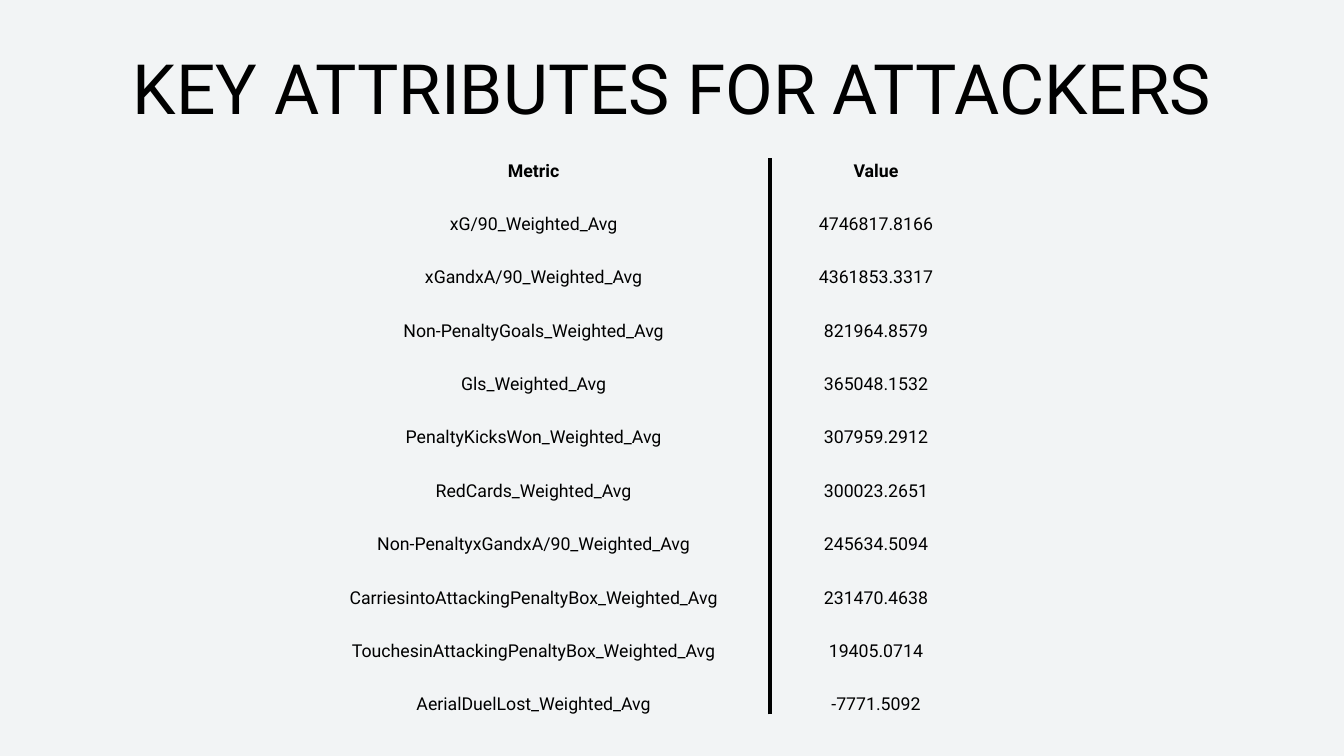
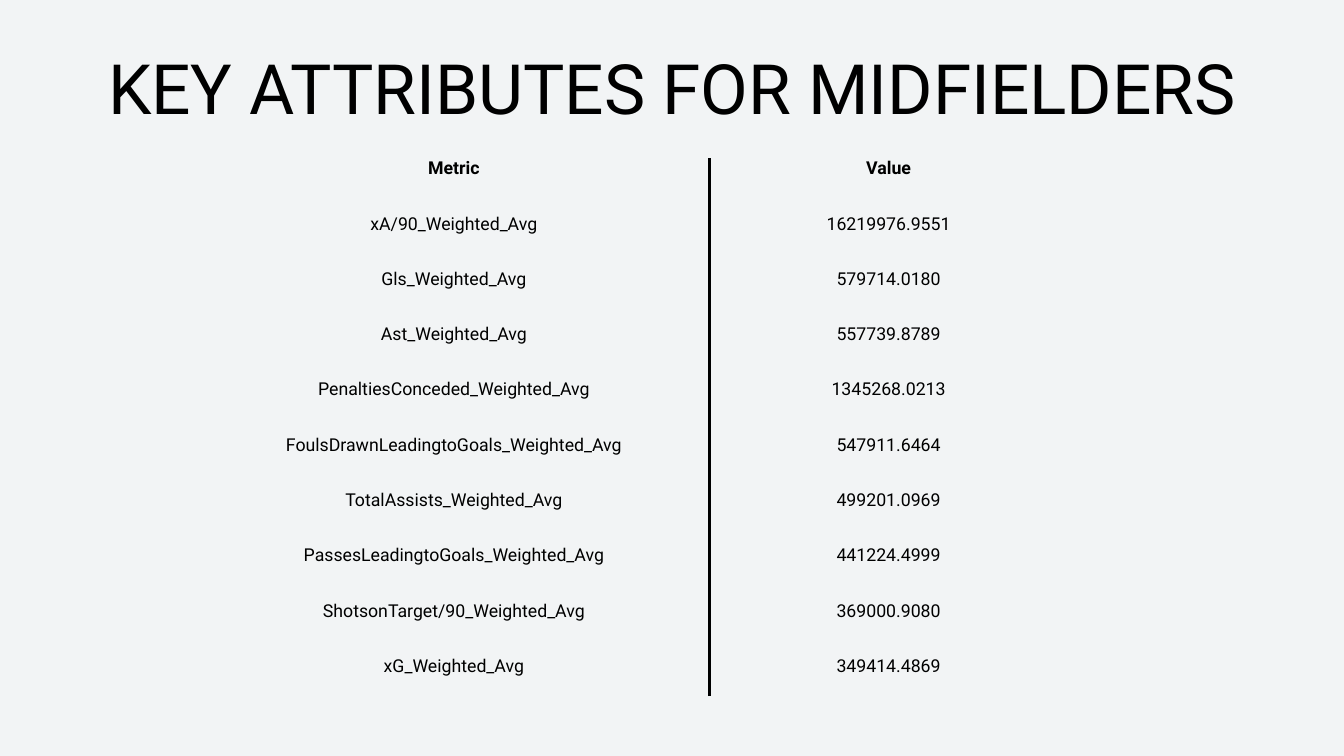
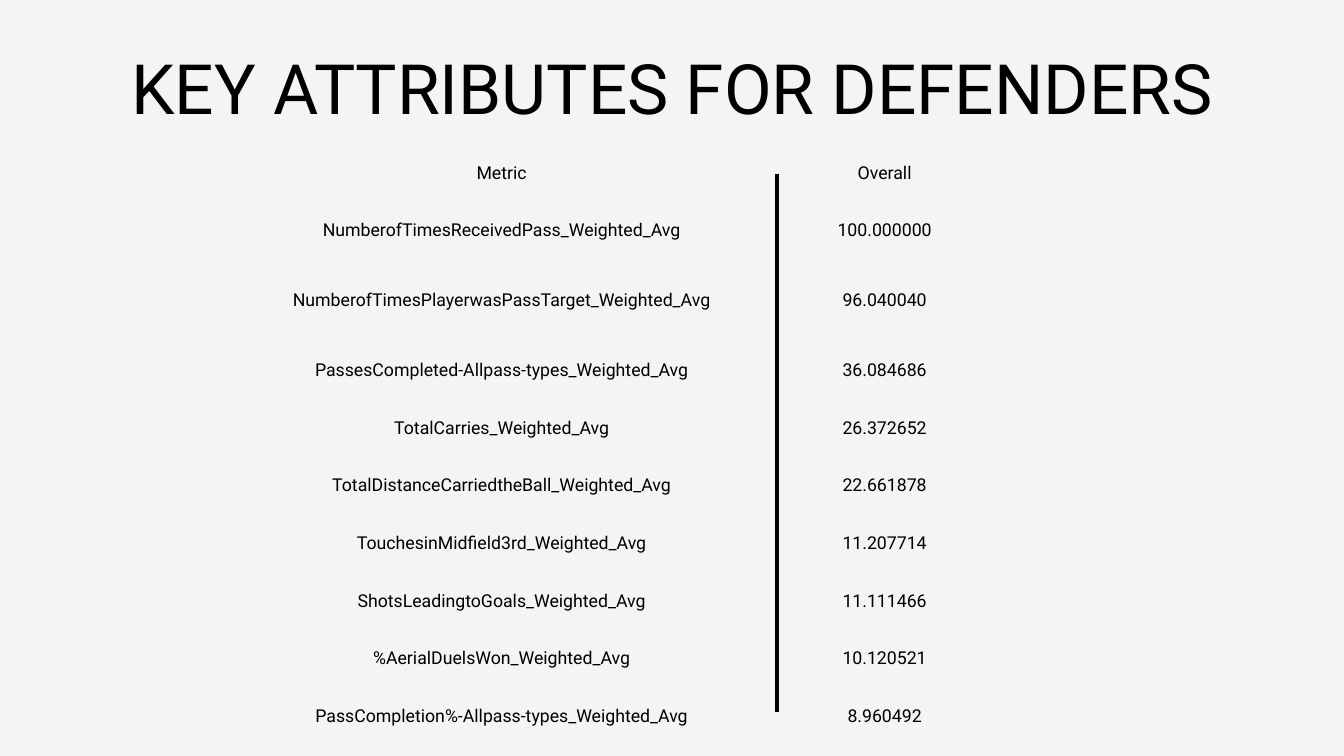
from dataclasses import dataclass

from lxml import etree
from pptx import Presentation
from pptx.dml.color import RGBColor
from pptx.enum.shapes import MSO_CONNECTOR
from pptx.enum.text import MSO_ANCHOR, MSO_AUTO_SIZE, PP_ALIGN
from pptx.oxml.ns import qn
from pptx.util import Pt

STRAIGHT = MSO_CONNECTOR.STRAIGHT
TOP, MIDDLE = MSO_ANCHOR.TOP, MSO_ANCHOR.MIDDLE
CENTER = PP_ALIGN.CENTER
GROW_SHAPE = MSO_AUTO_SIZE.SHAPE_TO_FIT_TEXT
TITLE_ONLY = 5


@dataclass(frozen=True)
class Theme:
    background: str = "F2F4F5"
    ink: str = "000000"
    font: str = "Roboto"
    title_size: float = 74.3
    title_leading: float = 89.1
    table_size: float = 19
    table_leading: float = 26.6
    rule_width: float = 3.75
    border_width: float = 2.25


theme = Theme()

attribute_slides = [
    dict(
        title="KEY ATTRIBUTES FOR ATTACKERS",
        left=334.8, top=152.6, column_widths=(473.8, 259.9),
        row_height=57.2, tall_rows={}, cell_margin=13.7,
        bold_header=True, filled=False,
        rule_x=825.1, rule_tops=(169.2, 370, 564.5),
        rows=[
            ("Metric", "Value"),
            ("xG/90_Weighted_Avg", "4746817.8166"),
            ("xGandxA/90_Weighted_Avg", "4361853.3317"),
            ("Non-PenaltyGoals_Weighted_Avg", "821964.8579"),
            ("Gls_Weighted_Avg", "365048.1532"),
            ("PenaltyKicksWon_Weighted_Avg", "307959.2912"),
            ("RedCards_Weighted_Avg", "300023.2651"),
            ("Non-PenaltyxGandxA/90_Weighted_Avg", "245634.5094"),
            ("CarriesintoAttackingPenaltyBox_Weighted_Avg", "231470.4638"),
            ("TouchesinAttackingPenaltyBox_Weighted_Avg", "19405.0714"),
            ("AerialDuelLost_Weighted_Avg", "-7771.5092"),
        ],
    ),
    dict(
        title="KEY ATTRIBUTES FOR MIDFIELDERS",
        left=253.4, top=149, column_widths=(465.8, 465.8),
        row_height=59.25, tall_rows={}, cell_margin=15,
        bold_header=True, filled=False,
        rule_x=760.3, rule_tops=(169.2, 370, 545),
        rows=[
            ("Metric", "Value"),
            ("xA/90_Weighted_Avg", "16219976.9551"),
            ("Gls_Weighted_Avg", "579714.0180"),
            ("Ast_Weighted_Avg", "557739.8789"),
            ("PenaltiesConceded_Weighted_Avg", "1345268.0213"),
            ("FoulsDrawnLeadingtoGoals_Weighted_Avg", "547911.6464"),
            ("TotalAssists_Weighted_Avg", "499201.0969"),
            ("PassesLeadingtoGoals_Weighted_Avg", "441224.4999"),
            ("ShotsonTarget/90_Weighted_Avg", "369000.9080"),
            ("xG_Weighted_Avg", "349414.4869"),
        ],
    ),
    dict(
        title="KEY ATTRIBUTES FOR DEFENDERS",
        left=285.1, top=152.6, column_widths=(504.7, 316.1),
        row_height=61.75, tall_rows={2: 87.9}, cell_margin=15,
        bold_header=False, filled=True,
        rule_x=832.3, rule_tops=(186.5, 374.4, 561.6),
        rows=[
            ("Metric", "Overall"),
            ("NumberofTimesReceivedPass_Weighted_Avg", "100.000000"),
            ("NumberofTimesPlayerwasPassTarget_Weighted_Avg", "96.040040"),
            ("PassesCompleted-Allpass-types_Weighted_Avg", "36.084686"),
            ("TotalCarries_Weighted_Avg", "26.372652"),
            ("TotalDistanceCarriedtheBall_Weighted_Avg", "22.661878"),
            ("TouchesinMidfield3rd_Weighted_Avg", "11.207714"),
            ("ShotsLeadingtoGoals_Weighted_Avg", "11.111466"),
            ("%AerialDuelsWon_Weighted_Avg", "10.120521"),
            ("PassCompletion%-Allpass-types_Weighted_Avg", "8.960492"),
        ],
    ),
]
RULE_LENGTH = 200.9


def write_text(holder, text, *, size, leading, bold=False, margin=0, anchor=MIDDLE):
    """Write one centred paragraph into a table cell or a text frame."""
    holder.margin_left = holder.margin_right = Pt(margin)
    holder.margin_top = holder.margin_bottom = Pt(margin)
    holder.vertical_anchor = anchor
    paragraph = getattr(holder, "text_frame", holder).paragraphs[0]
    paragraph.alignment = CENTER
    paragraph.line_spacing = Pt(leading)
    run = paragraph.add_run()
    run.text = text
    run.font.name = theme.font
    run.font.size = Pt(size)
    run.font.bold = bold
    run.font.color.rgb = RGBColor.from_string(theme.ink)


def set_borders(cell, color=None):
    """Give all four sides a line of this colour, or no line."""
    properties = cell._tc.get_or_add_tcPr()
    for side in ("lnL", "lnR", "lnT", "lnB"):
        border = etree.SubElement(properties, qn(f"a:{side}"))
        if color:
            border.set("w", str(Pt(theme.border_width)))
            fill = etree.SubElement(border, qn("a:solidFill"))
            etree.SubElement(fill, qn("a:srgbClr"), val=color)
        else:
            etree.SubElement(border, qn("a:noFill"))


presentation = Presentation()
presentation.slide_width, presentation.slide_height = Pt(1440), Pt(810)
background = presentation.slide_master.background.fill
background.solid()
background.fore_color.rgb = RGBColor.from_string(theme.background)

for content in attribute_slides:
    slide = presentation.slides.add_slide(presentation.slide_layouts[TITLE_ONLY])

    title = slide.shapes.title
    title.left, title.top, title.width, title.height = Pt(102.2), Pt(48.2), Pt(1236.2), Pt(88.6)
    title.text_frame.word_wrap = True
    title.text_frame.auto_size = GROW_SHAPE
    write_text(title.text_frame, content["title"], size=theme.title_size,
               leading=theme.title_leading, anchor=TOP)

    rows, widths = content["rows"], content["column_widths"]
    heights = [content["tall_rows"].get(index, content["row_height"]) for index in range(len(rows))]
    table = slide.shapes.add_table(
        len(rows), len(widths), Pt(content["left"]), Pt(content["top"]),
        Pt(sum(widths)), Pt(sum(heights))).table
    table.first_row = table.horz_banding = False
    for column, width in zip(table.columns, widths):
        column.width = Pt(width)
    for row_index, (row, height, values) in enumerate(zip(table.rows, heights, rows)):
        row.height = Pt(height)
        for cell, value in zip(row.cells, values):
            write_text(cell, value, size=theme.table_size, leading=theme.table_leading,
                       bold=content["bold_header"] and row_index == 0,
                       margin=content["cell_margin"])
            if content["filled"]:
                set_borders(cell, theme.background)
                cell.fill.solid()
                cell.fill.fore_color.rgb = RGBColor.from_string(theme.background)
            else:
                set_borders(cell)
                cell.fill.background()

    rule_x = Pt(content["rule_x"])
    for rule_top in content["rule_tops"]:
        rule = slide.shapes.add_connector(
            STRAIGHT, rule_x, Pt(rule_top + RULE_LENGTH), rule_x, Pt(rule_top))
        rule.line.color.rgb = RGBColor.from_string(theme.ink)
        rule.line.width = Pt(theme.rule_width)
        etree.SubElement(rule._element.spPr, qn("a:effectLst"))

presentation.save("out.pptx")
